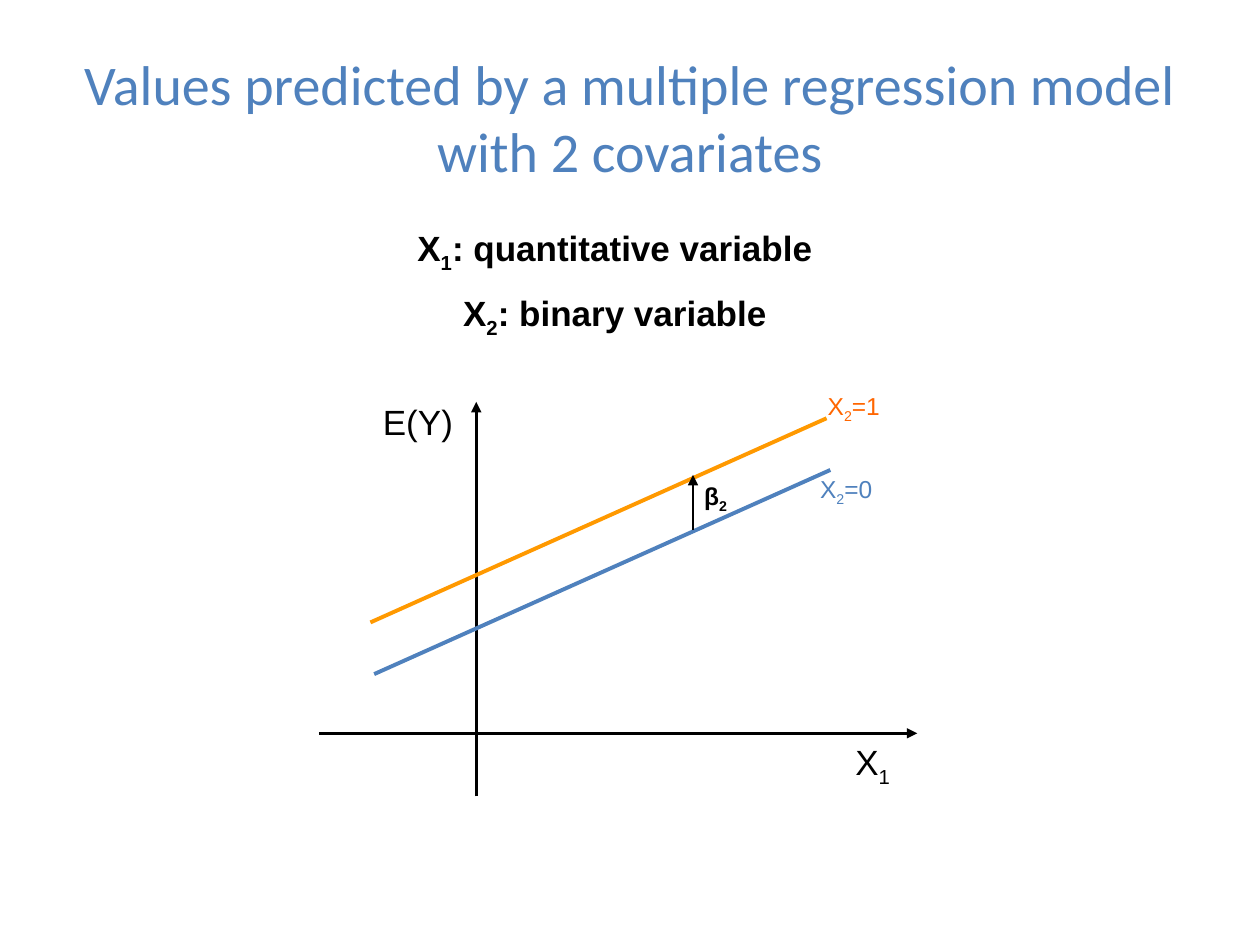
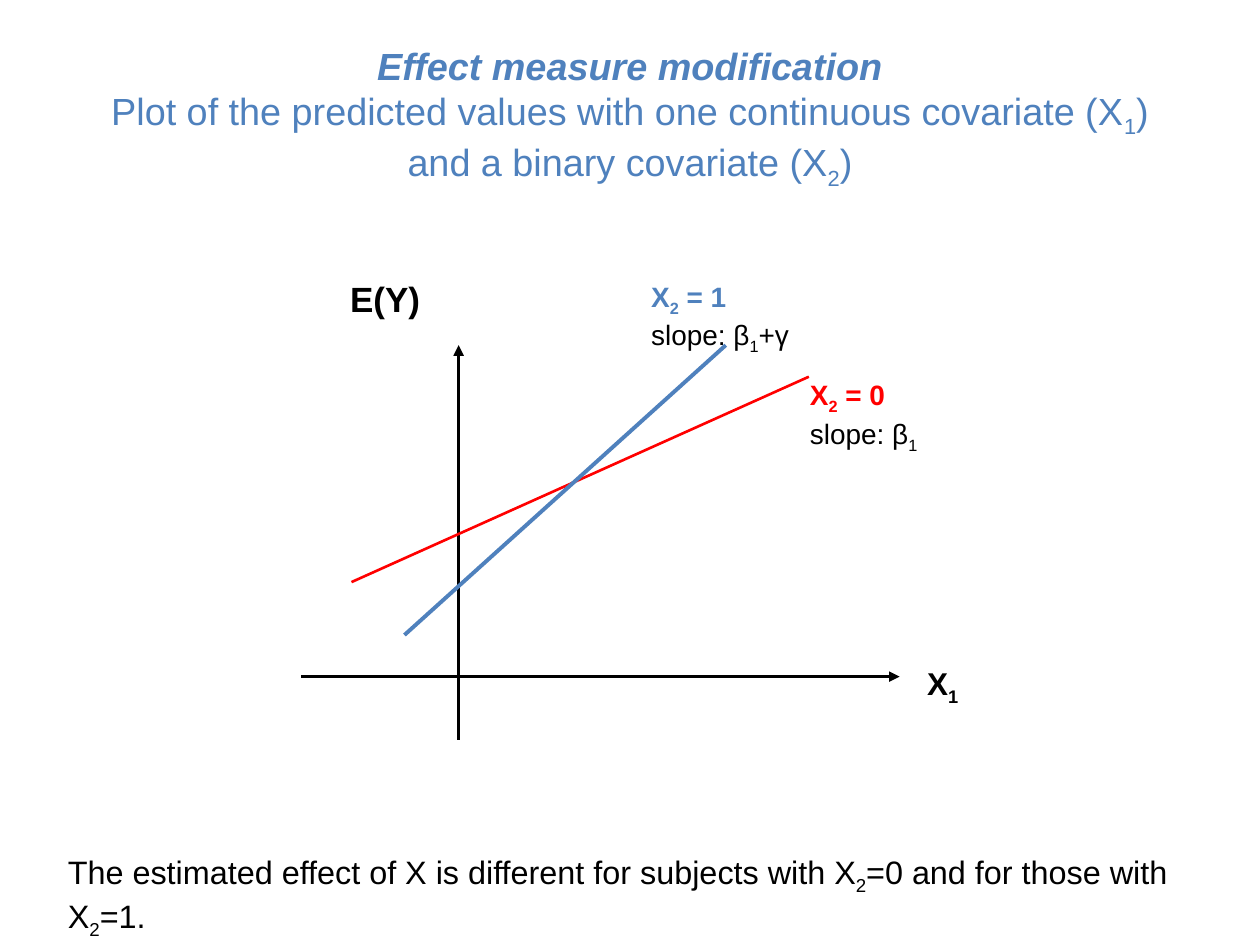
"""Build two slides that plot regression lines for two covariates."""
import dataclasses
import typing

import lxml.etree
import pptx
import pptx.dml.color
import pptx.enum.shapes
import pptx.enum.text
import pptx.oxml.ns
import pptx.util

WIDE, HIGH = pptx.util.Inches(10), pptx.util.Inches(7.5)
COLS, ROWS = 100, 75
BLUE, BLACK, RED = "4F81BD", "000000", "FF0000"
GOLD, RUST = "FF9900", "FF6600"
LEFT = pptx.enum.text.PP_ALIGN.LEFT
MID = pptx.enum.text.PP_ALIGN.CENTER


@dataclasses.dataclass(frozen=True)
class Style:
    size: float
    hue: str = BLACK
    bold: bool = False
    slant: bool = False
    face: str = "Arial"


@dataclasses.dataclass(frozen=True)
class Run:
    text: str
    style: Style
    low: bool = False


Line = list[Run]


@dataclasses.dataclass(frozen=True)
class Label:
    left: float
    top: float
    width: float
    height: float
    lines: list[Line]
    align: typing.Any = LEFT
    gap: float = 0


@dataclasses.dataclass(frozen=True)
class Stroke:
    start: tuple[float, float]
    end: tuple[float, float]
    weight: float
    hue: str = BLACK
    arrow: bool = False


def col(n: float) -> int:
    return round(WIDE * n / COLS)


def row(n: float) -> int:
    return round(HIGH * n / ROWS)


def paint(text: str) -> pptx.dml.color.RGBColor:
    return pptx.dml.color.RGBColor.from_string(text)


def spell(style: Style, *parts: str) -> Line:
    return [Run(part, style, i % 2 == 1) for i, part in enumerate(parts)]


def write(par: typing.Any, line: Line) -> None:
    for item in line:
        if item.text == "\n":
            par.add_line_break()
            continue
        run = par.add_run()
        run.text = item.text
        font, style = run.font, item.style
        font.name, font.size = style.face, pptx.util.Pt(style.size)
        font.bold, font.italic = style.bold, style.slant
        font.color.rgb = paint(style.hue)
        if item.low:
            run._r.get_or_add_rPr().set("baseline", "-25000")


def label(slide: typing.Any, item: Label) -> None:
    box = slide.shapes.add_textbox(
        col(item.left), row(item.top), col(item.width), row(item.height))
    frame = box.text_frame
    frame.word_wrap = True
    for i, line in enumerate(item.lines):
        par = frame.add_paragraph() if i else frame.paragraphs[0]
        par.alignment = item.align
        if i and item.gap:
            par.space_before = pptx.util.Pt(item.gap)
        write(par, line)


def stroke(slide: typing.Any, item: Stroke) -> None:
    (x1, y1), (x2, y2) = item.start, item.end
    link = slide.shapes.add_connector(
        pptx.enum.shapes.MSO_CONNECTOR.STRAIGHT,
        col(x1), row(y1), col(x2), row(y2))
    link.line.width = pptx.util.Pt(item.weight)
    link.line.color.rgb = paint(item.hue)
    tag = pptx.oxml.ns.qn
    if item.arrow:
        edge = link.line._get_or_add_ln()
        lxml.etree.SubElement(edge, tag("a:tailEnd")).set("type", "triangle")
    lxml.etree.SubElement(link._element.spPr, tag("a:effectLst"))


def axes(left: float, floor: float) -> list[Stroke]:
    zero = left + 12.5
    return [
        Stroke((zero, floor + 5), (zero, floor - 26.3), 2, arrow=True),
        Stroke((left, floor), (left + 47.5, floor), 1.5, arrow=True),
    ]


def build(deck: typing.Any, title: Line, lines: list[Stroke],
          labels: list[Label]) -> None:
    slide = deck.slides.add_slide(deck.slide_layouts[5])
    head = slide.shapes.title
    head.left, head.top = col(5), row(3)
    head.width, head.height = col(90), row(12.5)
    frame = head.text_frame
    frame.vertical_anchor = pptx.enum.text.MSO_ANCHOR.MIDDLE
    frame.paragraphs[0].alignment = MID
    write(frame.paragraphs[0], title)
    for item in lines:
        stroke(slide, item)
    for item in labels:
        label(slide, item)


def shift(deck: typing.Any) -> None:
    big, bold = Style(20), Style(20, bold=True)
    build(
        deck,
        spell(Style(32, BLUE, face="Calibri"),
              "Values predicted by a multiple regression model "
              "with 2 covariates"),
        axes(25.3, 58.2) + [
            Stroke((29.4, 49.4), (65.6, 33.2), 2.25, GOLD),
            Stroke((29.7, 53.5), (65.9, 37.3), 2.25, BLUE),
            Stroke((55, 42.1), (55, 37.7), 0.75, arrow=True),
        ],
        [
            Label(30.7, 17.5, 36.2, 9.4, [
                spell(bold, "X", "1", ": quantitative variable"),
                spell(bold, "X", "2", ": binary variable"),
            ], MID, 10),
            Label(29.4, 31.3, 8.5, 3.8, [spell(big, "E(Y)")]),
            Label(66.9, 58.3, 5.7, 3.8, [spell(big, "X", "1")]),
            Label(54.9, 37.7, 5, 4.4,
                  [spell(Style(14, bold=True), "β", "2")]),
            Label(64.7, 30.5, 8.5, 3.8,
                  [spell(Style(14, RUST), "X", "2", "=1")]),
            Label(64.1, 37.1, 8.5, 3.8,
                  [spell(Style(14, BLUE), "X", "2", "=0")]),
        ])


def cross(deck: typing.Any) -> None:
    lead = Style(21.6, BLUE, bold=True, slant=True)
    plain = Style(16)
    build(
        deck,
        spell(lead, "Effect measure modification", "\n")
        + spell(Style(21.6, BLUE),
                "Plot of the predicted values with one continuous "
                "covariate (X", "1", ") and a binary covariate (X", "2", ")"),
        axes(23.9, 53.7) + [
            Stroke((27.9, 46.2), (64.2, 29.9), 1.5, RED),
            Stroke((32.1, 50.4), (57.6, 27.4), 2.25, BLUE),
        ],
        [
            Label(26.8, 21.5, 13.6, 8,
                  [spell(Style(20, bold=True), "E(Y)")]),
            Label(72.6, 52.2, 6.5, 3.8,
                  [spell(Style(18, bold=True), "X", "1")]),
            Label(50.7, 21.7, 14.2, 6, [
                spell(Style(16, BLUE, bold=True), "X", "2", " = 1"),
                spell(plain, "slope: β", "1", "+γ"),
            ]),
            Label(63.3, 29.5, 11.2, 11.2, [
                spell(Style(16, RED, bold=True), "X", "2", " = 0"),
                spell(plain, "slope: β", "1"),
            ]),
            Label(4.4, 67.1, 90, 6.5, [
                spell(Style(18.5),
                      "The estimated effect of X is different for subjects "
                      "with X", "2", "=0 and for those with X", "2", "=1."),
            ]),
        ])


def main() -> None:
    deck = pptx.Presentation()
    deck.slide_width, deck.slide_height = WIDE, HIGH
    shift(deck)
    cross(deck)
    deck.save("out.pptx")


if __name__ == "__main__":
    main()
